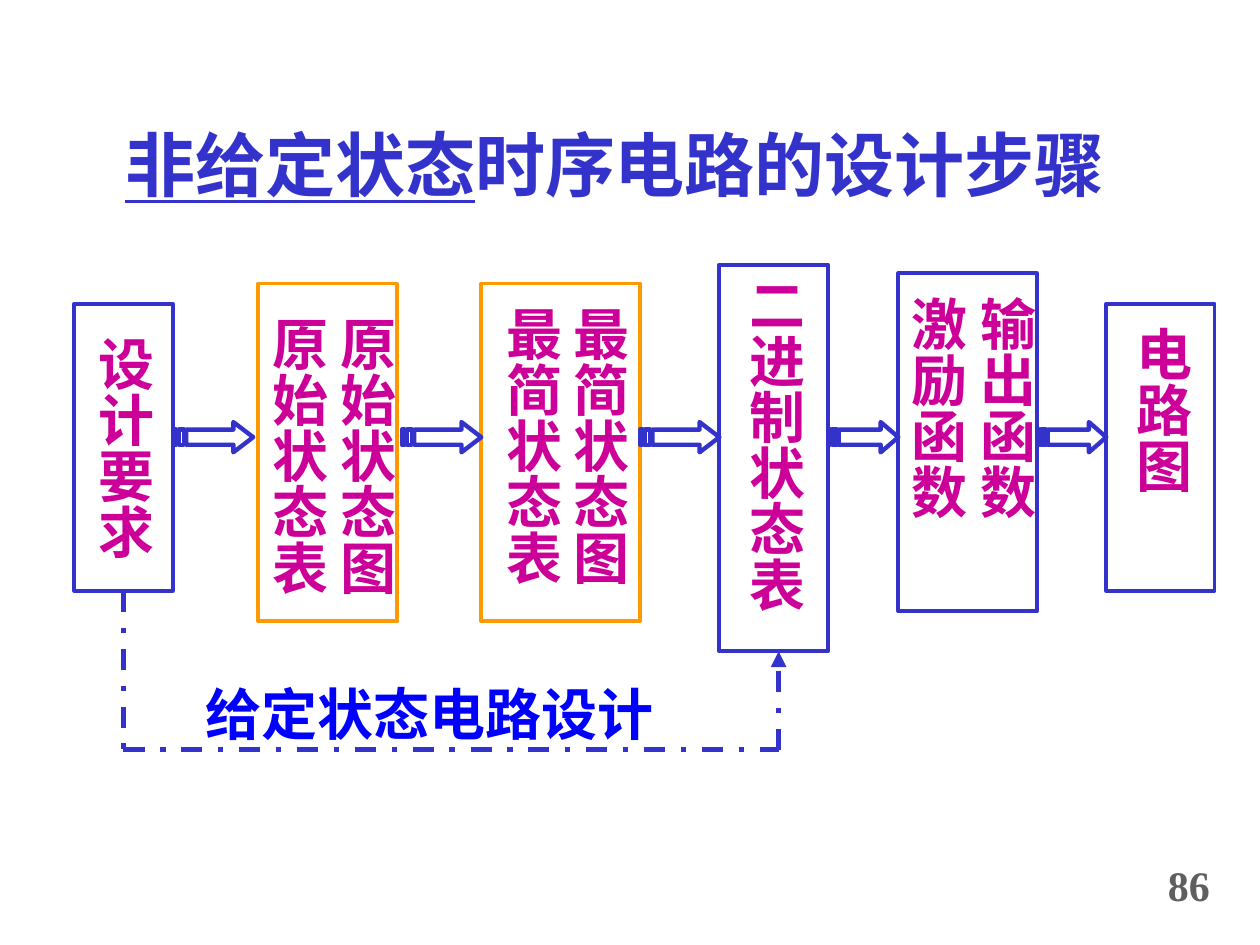
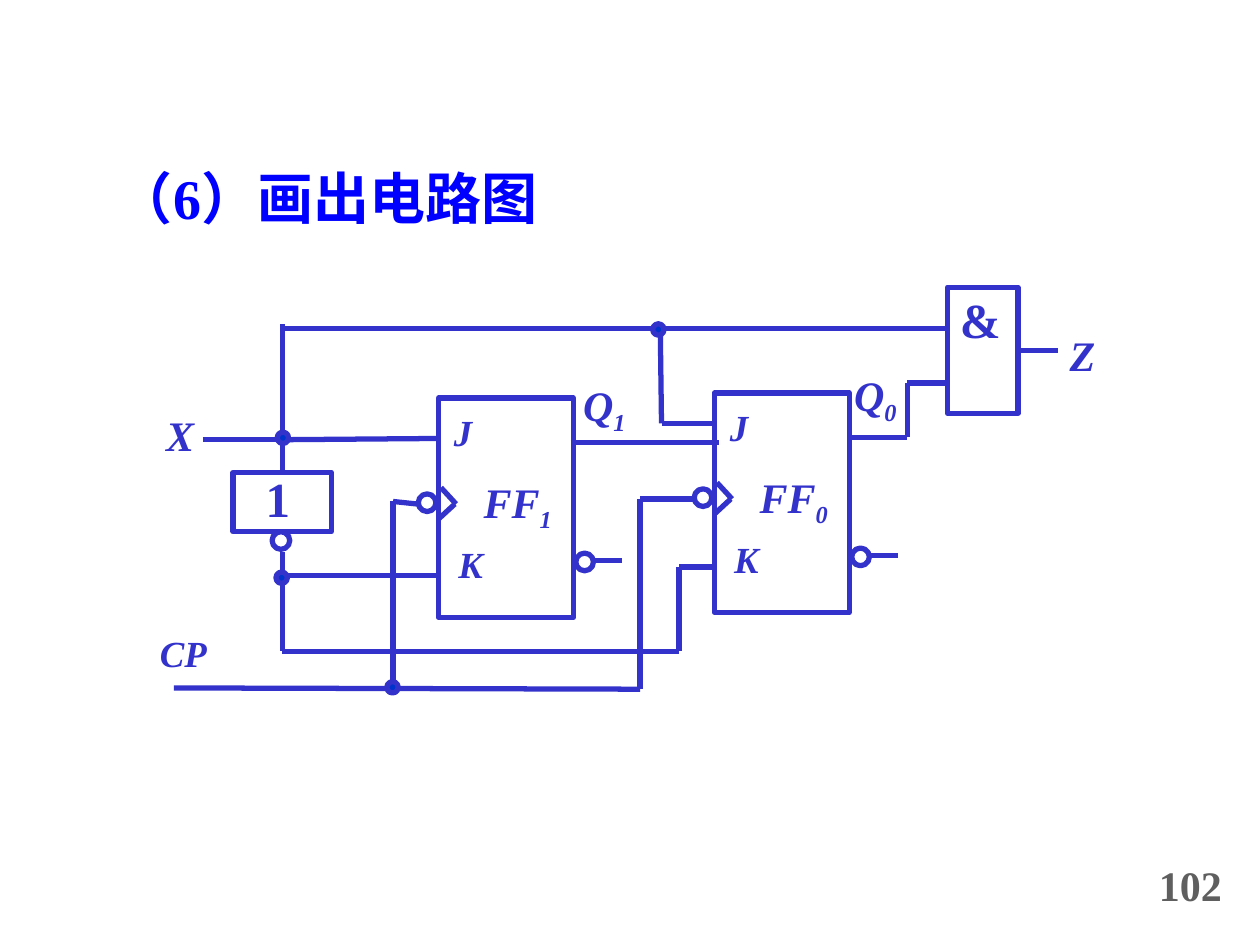
from itertools import pairwise

from lxml import etree
from pptx import Presentation
from pptx.dml.color import RGBColor
from pptx.enum.dml import MSO_LINE
from pptx.enum.shapes import MSO_CONNECTOR, MSO_SHAPE
from pptx.enum.text import MSO_ANCHOR, PP_ALIGN
from pptx.oxml.ns import qn
from pptx.util import Inches, Pt

STRAIGHT = MSO_CONNECTOR.STRAIGHT
RECTANGLE, OVAL = MSO_SHAPE.RECTANGLE, MSO_SHAPE.OVAL
LEFT, CENTER = PP_ALIGN.LEFT, PP_ALIGN.CENTER
TOP, MIDDLE = MSO_ANCHOR.TOP, MSO_ANCHOR.MIDDLE
DASH_DOT = MSO_LINE.DASH_DOT
TOP_SIDE, BOTTOM_SIDE, RIGHT_SIDE = 0, 2, 3

WIDTH, HEIGHT = Inches(10), Inches(7.5)
COLUMNS, ROWS = 100, 75
INK, BLUE, MAGENTA = "3333CC", "0000FF", "CC0099"
ORANGE, GREY, WHITE, DOT = "FF9900", "5F5F5F", "FFFFFF", "0033CC"
LATIN, EAST_ASIAN = "Times New Roman", "Noto Sans CJK SC"
HEADING = {"size": 32, "color": BLUE, "spacing": 0.9}
SYMBOL = {"size": 24, "italic": True}
PIN = {"size": 21, "italic": True, "align": CENTER, "spacing": 0.9, "insets": (0.08, 0.04)}


def color_of(value):
    """Turn a hex string into a colour."""
    return RGBColor.from_string(value)


def across(columns):
    """Measure grid columns."""
    return round(WIDTH * columns / COLUMNS)


def down(rows):
    """Measure grid rows."""
    return round(HEIGHT * rows / ROWS)


def place(box):
    """Turn a grid box into lengths."""
    left, top, width, height = box
    return across(left), down(top), across(width), down(height)


def shift(region, left, top, *size):
    """Move a point or box from a region's grid to the slide's grid."""
    return (region[0] + left, region[1] + top, *size)


def write(page, box, text, size=24, color=INK, latin=LATIN, italic=False, align=LEFT,
          anchor=TOP, spacing=None, before=0, insets=(0.1, 0.05), vertical=False,
          underlined="", subscript=""):
    """Write text, one paragraph a line, with an underlined start and a subscript end."""
    frame = page.shapes.add_textbox(*place(box)).text_frame
    frame.word_wrap = True
    frame.vertical_anchor = anchor
    frame.margin_left = frame.margin_right = Inches(insets[0])
    frame.margin_top = frame.margin_bottom = Inches(insets[1])
    if vertical:
        frame._txBody.bodyPr.set("vert", "eaVert")
    for index, line in enumerate(text.split("\n")):
        para = frame.add_paragraph() if index else frame.paragraphs[0]
        para.alignment = align
        if spacing:
            para.line_spacing = spacing
        if index:
            para.space_before = Pt(before)
        for part in filter(None, (underlined, line, subscript)):
            span = para.add_run()
            span.text = part
            font = span.font
            font.name, font.size, font.bold, font.italic = latin, Pt(size), True, italic
            font.color.rgb = color_of(color)
            properties = span._r.get_or_add_rPr()
            etree.SubElement(properties, qn("a:ea"), typeface=EAST_ASIAN)
            if part == underlined:
                font.underline = True
            if part == subscript:
                properties.set("baseline", "-25000")


def paint(shape, fill, line, weight):
    """Give a shape its fill and outline, without shadow."""
    shape.shadow.inherit = False
    if fill:
        shape.fill.solid()
        shape.fill.fore_color.rgb = color_of(fill)
    else:
        shape.fill.background()
    shape.line.color.rgb = color_of(line)
    shape.line.width = Pt(weight)
    return shape


def draw(page, kind, box, fill=None, line=INK, weight=3):
    """Draw a preset shape."""
    return paint(page.shapes.add_shape(kind, *place(box)), fill, line, weight)


def wire(page, region, *points, dash=None, arrow=False):
    """Draw straight lines through points of a region and return them."""
    lines = []
    for start, end in pairwise(shift(region, *point) for point in points):
        line = page.shapes.add_connector(
            STRAIGHT, across(start[0]), down(start[1]), across(end[0]), down(end[1]))
        line.line.color.rgb = color_of(INK)
        line.line.width = Pt(3)
        if dash:
            line.line.dash_style = dash
        etree.SubElement(line._element.spPr, qn("a:effectLst"))
        lines.append(line)
    if arrow:
        etree.SubElement(lines[-1].line._get_or_add_ln(), qn("a:tailEnd"), type="triangle")
    return lines


def striped_arrow(page, box):
    """Draw a block arrow with two stripes at its tail."""
    left, top, width, height = box

    def spots(outline):
        return [(across(left + width * x), down(top + height * y)) for x, y in outline]

    body = spots([(5 / 32, 0.25), (0.75, 0.25), (0.75, 0), (1, 0.5),
                  (0.75, 1), (0.75, 0.75), (5 / 32, 0.75)])
    stripes = [spots([(a, 0.25), (b, 0.25), (b, 0.75), (a, 0.75)])
               for a, b in ((0, 1 / 32), (1 / 16, 1 / 8))]
    builder = page.shapes.build_freeform(*body[0])
    builder.add_line_segments(body[1:], close=True)
    for stripe in stripes:
        builder.move_to(*stripe[0])
        builder.add_line_segments(stripe[1:], close=True)
    paint(builder.convert_to_shape(), WHITE, INK, 2.5)


def stage(page, box, label, label_box, line=INK, spacing=None):
    """Draw one framed design stage with vertical text."""
    frame = draw(page, RECTANGLE, box, WHITE, line, 2.25)
    write(page, shift(box, *label_box), label, size=32, color=MAGENTA, align=CENTER,
          anchor=MIDDLE, insets=(0.05, 0.1), vertical=True, spacing=spacing, before=20)
    return frame


def design_flow(page, region):
    """Draw the design stages, the arrows between them and the shortcut."""
    stages = [
        ((0.9, 4.1, 7.8, 22.8), "设计要求", (0.3, 1.6, 7.3, 20.5), {}),
        ((15.5, 2.5, 11, 26.8), "原始状态图原始状态表", (-0.4, 1.6, 12.6, 24.4), {"line": ORANGE}),
        ((33.2, 2.5, 12.6, 26.8), "最简状态图最简状态表", (0.4, 0.8, 12.6, 24.4), {"line": ORANGE}),
        ((52.1, 1, 8.6, 30.7), "二进制状态表", (0.8, 0, 7.3, 29.3), {}),
        ((66.3, 1.7, 11, 26.8), "输出函数\n激励函数", (1.1, 0.8, 7.5, 24.4), {"spacing": 0.5}),
        ((82.8, 4.1, 8.6, 22.8), "电路图", (0.8, 0.8, 7.3, 21.3), {}),
    ]
    frames = [stage(page, shift(region, *box), label, label_box, **style)
              for box, label, label_box, style in stages]
    for left, width in ((8.8, 6.3), (26.9, 6.3), (45.8, 6.3), (60.7, 5.6), (77.3, 5.5)):
        striped_arrow(page, shift(region, left, 13.5, width, 2.4))
    shortcut = wire(page, region, (4.8, 26.9), (4.8, 39.5), (56.8, 39.5), (56.8, 31.7),
                    dash=DASH_DOT, arrow=True)
    shortcut[0].begin_connect(frames[0], BOTTOM_SIDE)
    write(page, shift(region, 10.3, 34, 39.4, 5.8), "给定状态电路设计", **HEADING)


def flip_flop(page, box, number):
    """Draw a JK flip-flop with its clock input and inverted output."""
    draw(page, RECTANGLE, box)
    for left, top in ((-1.6, 7.6), (10.9, 12.3)):
        draw(page, OVAL, shift(box, left, top, 1.4, 1.4))
    wire(page, box, (0.2, 7.1), (1.4, 8.4))
    wire(page, box, (1.3, 8.4), (0, 9.6))
    wire(page, box, (12.1, 12.9), (14.6, 12.9))
    write(page, shift(box, -1.2, 0.9, 6.3, 4.3), "J", **PIN)
    write(page, shift(box, -0.6, 11.4, 6.3, 4.3), "K", **PIN)
    write(page, shift(box, 2.6, 5.7, 7.9, 5.6), "FF", subscript=number, **SYMBOL)


def circuit(page, region):
    """Draw the circuit: flip-flops, gates, wires, junctions and signal names."""
    flip_flop(page, shift(region, 24.8, 11.6, 10.7, 17.4), "1")
    flip_flop(page, shift(region, 46.7, 11.2, 10.7, 17.4), "0")
    inverter = draw(page, RECTANGLE, shift(region, 8.5, 17.5, 7.8, 4.7))
    draw(page, OVAL, shift(region, 11.6, 22.2, 1.4, 1.4))
    and_gate = draw(page, RECTANGLE, shift(region, 65.2, 2.8, 5.6, 10))
    write(page, shift(region, 10.1, 16.7, 6.7, 5.7), "1", size=28)
    write(page, shift(region, 65.2, 2.5, 6.7, 5.7), "&", size=28)

    branch, = wire(page, region, (12.4, 17.5), (12.4, 5.7))
    branch.begin_connect(inverter, TOP_SIDE)
    output, = wire(page, region, (70.8, 7.8), (74, 7.8))
    output.begin_connect(and_gate, RIGHT_SIDE)
    for points in (
        [(6.1, 14.9), (12.4, 14.9), (24.8, 14.8)],
        [(12.4, 6.1), (65.2, 6.1)],
        [(42.4, 5.7), (42.5, 13.6), (46.8, 13.6)],
        [(35.3, 15.1), (47.1, 15.1)],
        [(57.4, 14.7), (62, 14.7), (62, 10.4), (65.1, 10.4)],
        [(12.4, 25.7), (24.8, 25.7)],
        [(12.4, 23.8), (12.4, 31.7), (43.9, 31.7), (43.9, 25), (46.6, 25)],
        [(3.8, 34.6), (40.8, 34.7), (40.8, 19.6), (45, 19.6)],
        [(21.2, 34.8), (21.2, 19.8), (23.1, 20)],
    ):
        wire(page, region, *points)
    for left, top in ((12, 14.3), (41.8, 5.7), (11.9, 25.4), (20.7, 34.1)):
        draw(page, OVAL, shift(region, left, top, 0.9, 0.9), DOT)

    for left, top, name, number in ((2.2, 12, "X", ""), (73.9, 5.7, "Z", ""),
                                    (35.3, 9.6, "Q", "1"), (56.8, 8.8, "Q", "0")):
        write(page, shift(region, left, top, 6.8, 5.6), name, subscript=number, **SYMBOL)
    write(page, shift(region, 1.4, 30.1, 6.3, 4.3), "CP", **PIN)


def add_page(deck, number, left):
    """Add a blank slide with its page number."""
    page = deck.slides.add_slide(deck.slide_layouts[6])
    write(page, (left, 68.2, 98 - left, 4.6), number, color=GREY, spacing=0.9)
    return page


def main():
    """Build both slides and save them."""
    deck = Presentation()
    deck.slide_width, deck.slide_height = WIDTH, HEIGHT

    steps = add_page(deck, "86", 91.7)
    write(steps, (5.9, 9.1, 85.8, 7.7), "时序电路的设计步骤", underlined="非给定状态",
          size=40, latin=EAST_ASIAN, align=CENTER, anchor=MIDDLE)
    design_flow(steps, (5, 20, 92, 40))

    drawing = add_page(deck, "102", 91)
    write(drawing, (8.3, 13.1, 66.1, 5.8), "（6）画出电路图", **HEADING)
    circuit(drawing, (10, 20, 81, 36))

    deck.save("out.pptx")


if __name__ == "__main__":
    main()
